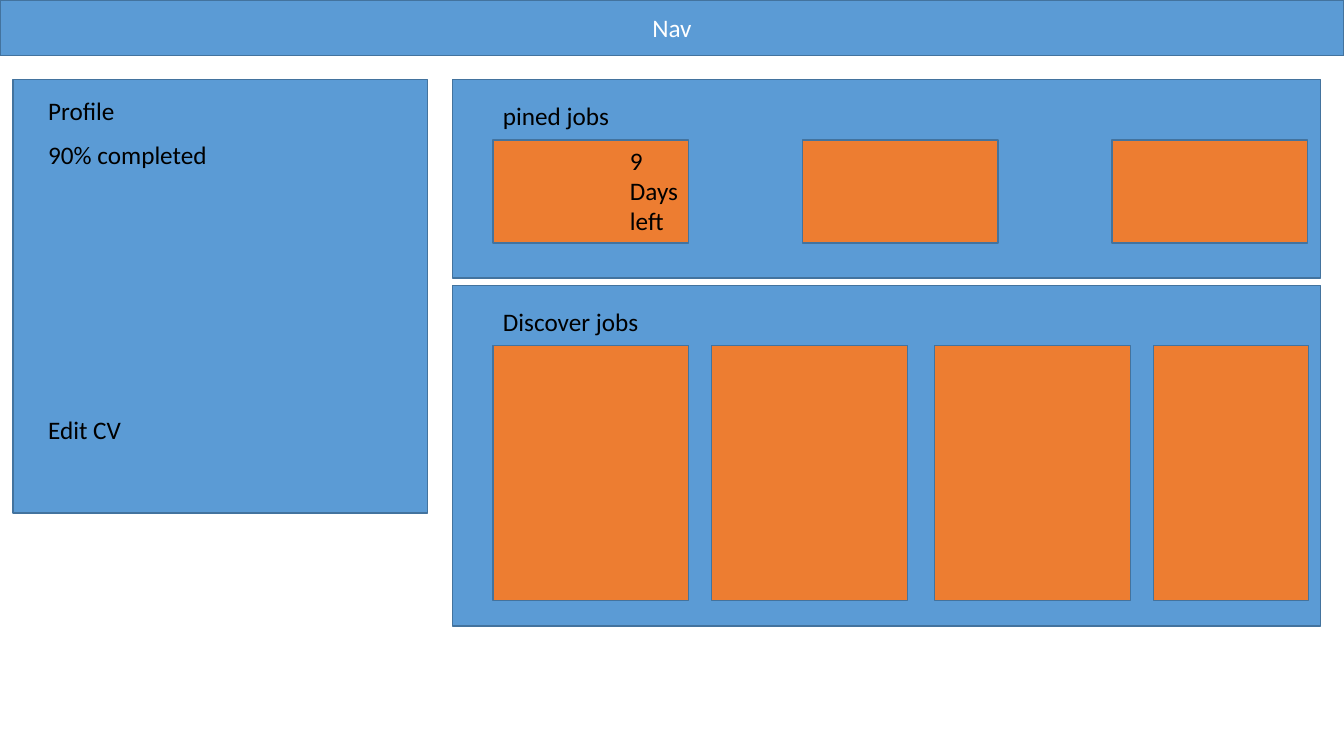
from pptx import Presentation
from pptx.dml.color import RGBColor
from pptx.enum.shapes import MSO_SHAPE
from pptx.enum.text import MSO_ANCHOR, MSO_AUTO_SIZE, PP_ALIGN
from pptx.util import Inches, Pt

COLORS = {
    "panel": "5B9BD5",
    "card": "ED7D31",
    "outline": "43739E",
    "nav_text": "FFFFFF",
    "text": "000000",
}

presentation = Presentation()
presentation.slide_width = Inches(13.33)
presentation.slide_height = Inches(7.5)
slide = presentation.slides.add_slide(presentation.slide_layouts[6])


def add_box(left, top, width, height, fill):
    """Add an outlined rectangle and return it."""
    shape = slide.shapes.add_shape(
        MSO_SHAPE.RECTANGLE, Inches(left), Inches(top), Inches(width), Inches(height)
    )
    shape.shadow.inherit = False
    shape.fill.solid()
    shape.fill.fore_color.rgb = RGBColor.from_string(COLORS[fill])
    shape.line.color.rgb = RGBColor.from_string(COLORS["outline"])
    shape.line.width = Pt(1)
    return shape


def write_text(shape, text, color):
    """Write 18 pt Calibri text into a shape, one paragraph per line."""
    shape.text_frame.text = text
    shape.text_frame.word_wrap = True
    for paragraph in shape.text_frame.paragraphs:
        for run in paragraph.runs:
            run.font.name = "Calibri"
            run.font.size = Pt(18)
            run.font.color.rgb = RGBColor.from_string(COLORS[color])


# Navigation bar
nav = add_box(0, 0, 13.33, 0.55, "panel")
write_text(nav, "Nav", "nav_text")
nav.text_frame.vertical_anchor = MSO_ANCHOR.MIDDLE
nav.text_frame.paragraphs[0].alignment = PP_ALIGN.CENTER

# Profile, discover and pinned panels
for left, top, width, height in [
    (0.13, 0.79, 4.11, 4.3),
    (4.49, 2.83, 8.61, 3.38),
    (4.49, 0.79, 8.61, 1.97),
]:
    add_box(left, top, width, height, "panel")

# Job cards
for left, width in [(4.89, 1.94), (7.06, 1.94), (9.27, 1.94), (11.44, 1.54)]:
    add_box(left, 3.43, width, 2.53, "card")
for column in range(3):
    add_box(4.89 + column * 3.07, 1.39, 1.94, 1.02, "card")

# Labels
for text, left, top, width, height in [
    ("Profile", 0.38, 0.9, 2.32, 0.4),
    ("90% completed", 0.38, 1.33, 2.32, 0.4),
    ("Edit CV", 0.38, 4.06, 2.32, 0.4),
    ("Discover jobs", 4.89, 2.99, 2.32, 0.4),
    ("pined jobs", 4.89, 0.95, 2.32, 0.4),
    ("9\nDays\nleft", 6.15, 1.39, 1.04, 1.01),
]:
    label = slide.shapes.add_textbox(
        Inches(left), Inches(top), Inches(width), Inches(height)
    )
    write_text(label, text, "text")
    label.text_frame.auto_size = MSO_AUTO_SIZE.SHAPE_TO_FIT_TEXT

presentation.save("out.pptx")
